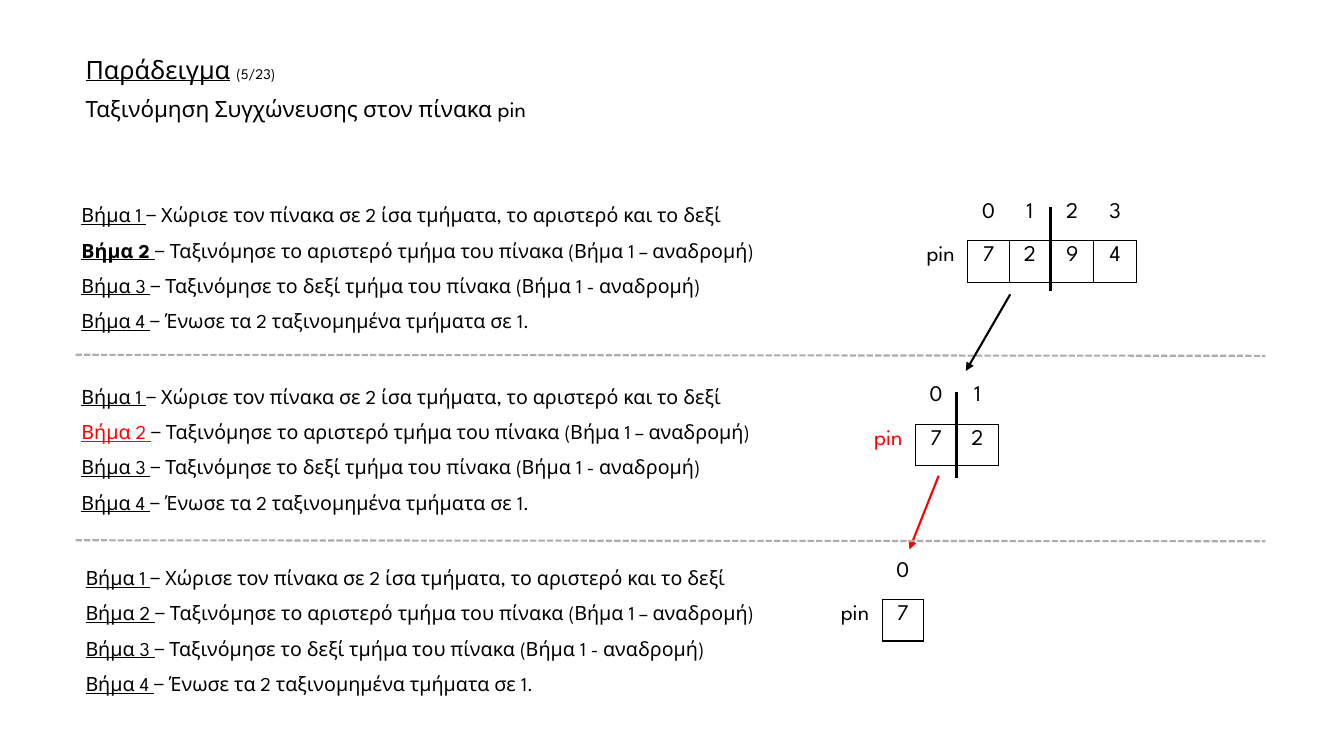
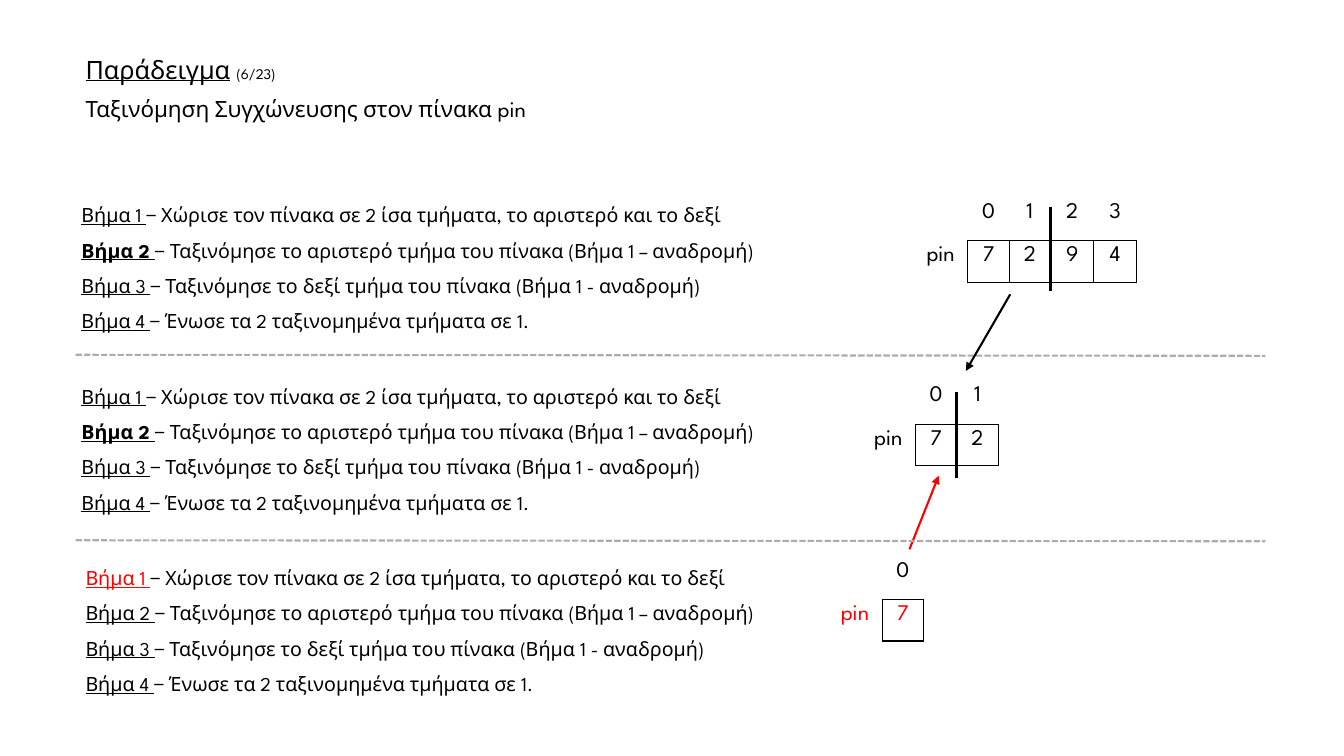
from lxml.etree import SubElement
from pptx import Presentation
from pptx.dml.color import RGBColor
from pptx.enum.dml import MSO_LINE_DASH_STYLE as Dash
from pptx.enum.shapes import MSO_CONNECTOR as Connector
from pptx.enum.text import PP_ALIGN as Align
from pptx.oxml.ns import qn
from pptx.util import Pt

PX = 9144
FONT = "League Spartan"
COLOURS = {"ink": "000000", "active": "FF0000", "rule": "AFABAB"}
PLAIN_STEP = {"underline": True}
BOLD_STEP = {"underline": True, "bold": True}
ACTIVE_STEP = {"underline": True, "colour": "active"}
NO_GRID_STYLE = "{2D5ABB26-0587-4C30-8999-92F81FD0307C}"
LABEL_WIDTH, INDEX_HEIGHT, VALUE_HEIGHT = 54, 43, 41

STEPS = [
    "Χώρισε τον πίνακα σε 2 ίσα τμήματα, το αριστερό και το δεξί",
    "Ταξινόμησε το αριστερό τμήμα του πίνακα (Βήμα 1 – αναδρομή)",
    "Ταξινόμησε το δεξί τμήμα του πίνακα (Βήμα 1 - αναδρομή)",
    "Ένωσε τα 2 ταξινομημένα τμήματα σε 1.",
]
LEVELS = [
    {"box": (71, 185), "array": (835, 11), "values": "7294",
     "widths": (41, 41, 43, 42), "divider": (9, 93)},
    {"box": (71, 365), "array": (783, 13), "values": "72",
     "widths": (41, 41), "divider": (11, 96)},
    {"box": (75, 545), "array": (750, 7), "values": "7",
     "widths": (41,), "divider": None},
]
SLIDES = [
    {"counter": "(5/23)", "arrowhead": "tailEnd", "marks": [
        {"steps": {2: BOLD_STEP}},
        {"steps": {2: ACTIVE_STEP}, "label": "active"},
        {}]},
    {"counter": "(6/23)", "arrowhead": "headEnd", "marks": [
        {"steps": {2: BOLD_STEP}},
        {"steps": {2: BOLD_STEP}},
        {"steps": {1: ACTIVE_STEP}, "label": "active", "value": "active"}]},
]


def px(*lengths):
    """Turn pixel lengths into EMU."""
    return [length * PX for length in lengths]


def rgb(name):
    """Look up a named colour."""
    return RGBColor.from_string(COLOURS[name])


def add_run(paragraph, text, size, colour="ink", **look):
    """Append a run in the deck font with the given look."""
    run = paragraph.add_run()
    run.text = text
    for name, value in {"name": FONT, "size": Pt(size), **look}.items():
        setattr(run.font, name, value)
    run.font.color.rgb = rgb(colour)


def add_text(slide, box, paragraphs, **spacing):
    """Add a wrapped text box; each paragraph is a list of (text, size, look)."""
    frame = slide.shapes.add_textbox(*px(*box)).text_frame
    frame.word_wrap = True
    for number, runs in enumerate(paragraphs):
        paragraph = frame.add_paragraph() if number else frame.paragraphs[0]
        for name, value in spacing.items():
            setattr(paragraph, name, value)
        for text, size, look in runs:
            add_run(paragraph, text, size, **look)


def add_line(slide, ends, width, colour="ink", dash=None, arrowhead=None):
    """Draw a straight line, optionally dashed or with an arrowhead."""
    line = slide.shapes.add_connector(Connector.STRAIGHT, *px(*ends))
    line.line.width = Pt(width)
    line.line.color.rgb = rgb(colour)
    if dash:
        line.line.dash_style = dash
    properties = line._element.spPr
    if arrowhead:
        SubElement(properties.find(qn("a:ln")), qn(f"a:{arrowhead}"), type="triangle")
    SubElement(properties, qn("a:effectLst"))


def fill_cell(cell, text, colour, edges):
    """Write a centred cell with borders on the named edges."""
    paragraph = cell.text_frame.paragraphs[0]
    paragraph.alignment = Align.CENTER
    add_run(paragraph, text, 16, colour)
    properties = cell._tc.get_or_add_tcPr()
    for edge in edges:
        border = SubElement(properties, qn(f"a:ln{edge}"), w=str(Pt(1)))
        fill = SubElement(border, qn("a:solidFill"))
        SubElement(fill, qn("a:srgbClr"), val=COLOURS["ink"])
    cell.fill.background()


def add_array(slide, left, top, level, marks):
    """Draw an array with its name, indices, values and middle divider."""
    widths = (LABEL_WIDTH, *level["widths"])
    size = sum(widths), INDEX_HEIGHT + VALUE_HEIGHT
    frame = slide.shapes.add_table(2, len(widths), *px(left, top, *size))
    table = frame.table
    table._tbl.tblPr.find(qn("a:tableStyleId")).text = NO_GRID_STYLE
    table.first_row = table.horz_banding = False
    for column, width in zip(table.columns, px(*widths)):
        column.width = width
    for row, height in zip(table.rows, px(INDEX_HEIGHT, VALUE_HEIGHT)):
        row.height = height
    fill_cell(table.cell(0, 0), "", "ink", "")
    fill_cell(table.cell(1, 0), "pin", marks.get("label", "ink"), "R")
    for index, value in enumerate(level["values"]):
        fill_cell(table.cell(0, index + 1), str(index), "ink", "B")
        fill_cell(table.cell(1, index + 1), value, marks.get("value", "ink"), "LRTB")
    if level["divider"]:
        middle = left + sum(widths[:len(widths) // 2 + 1])
        start, end = level["divider"]
        add_line(slide, (middle, top + start, middle, top + end), 2.25)


def add_level(slide, level, marks):
    """Place the four steps and the array of one recursion level."""
    left, top = level["box"]
    looks = marks.get("steps", {})
    paragraphs = [
        [(f"Βήμα {number} ", 14, looks.get(number, PLAIN_STEP)), (f"− {step}", 14, {})]
        for number, step in enumerate(STEPS, 1)
    ]
    add_text(slide, (left, top, 703, 147), paragraphs, line_spacing=1.5)
    array_left, drop = level["array"]
    add_array(slide, array_left + 71, top + drop, level, marks)


def add_title(slide, box, counter):
    """Write the heading with its counter and the subject line."""
    heading = [("Παράδειγμα", 18, {"underline": True}), (" ", 18, {}), (counter, 10.5, {})]
    subject = [("Ταξινόμηση Συγχώνευσης στον πίνακα pin", 16, {})]
    add_text(slide, box, [heading, subject], line_spacing=0.9, space_before=Pt(10))


def add_rule(slide, left, top, width):
    """Draw a dashed rule between two levels."""
    add_line(slide, (left, top, left + width, top + 1), 1.5, "rule", Dash.SQUARE_DOT)


def add_example_slide(presentation, content):
    """Build one step of the merge sort example."""
    slide = presentation.slides.add_slide(presentation.slide_layouts[6])
    add_title(slide, (75, 52, 1079, 77), content["counter"])
    for level, marks in zip(LEVELS, content["marks"]):
        add_level(slide, level, marks)
    add_rule(slide, 75, 352, 1180)
    add_line(slide, (1002, 292, 958, 368), 1.5, arrowhead="tailEnd")
    add_line(slide, (931, 472, 902, 545), 1.5, "active", arrowhead=content["arrowhead"])
    add_rule(slide, 75, 536, 1180)


def main():
    """Build and save the presentation."""
    presentation = Presentation()
    presentation.slide_width, presentation.slide_height = px(1333, 750)
    for content in SLIDES:
        add_example_slide(presentation, content)
    presentation.save("out.pptx")


if __name__ == "__main__":
    main()
